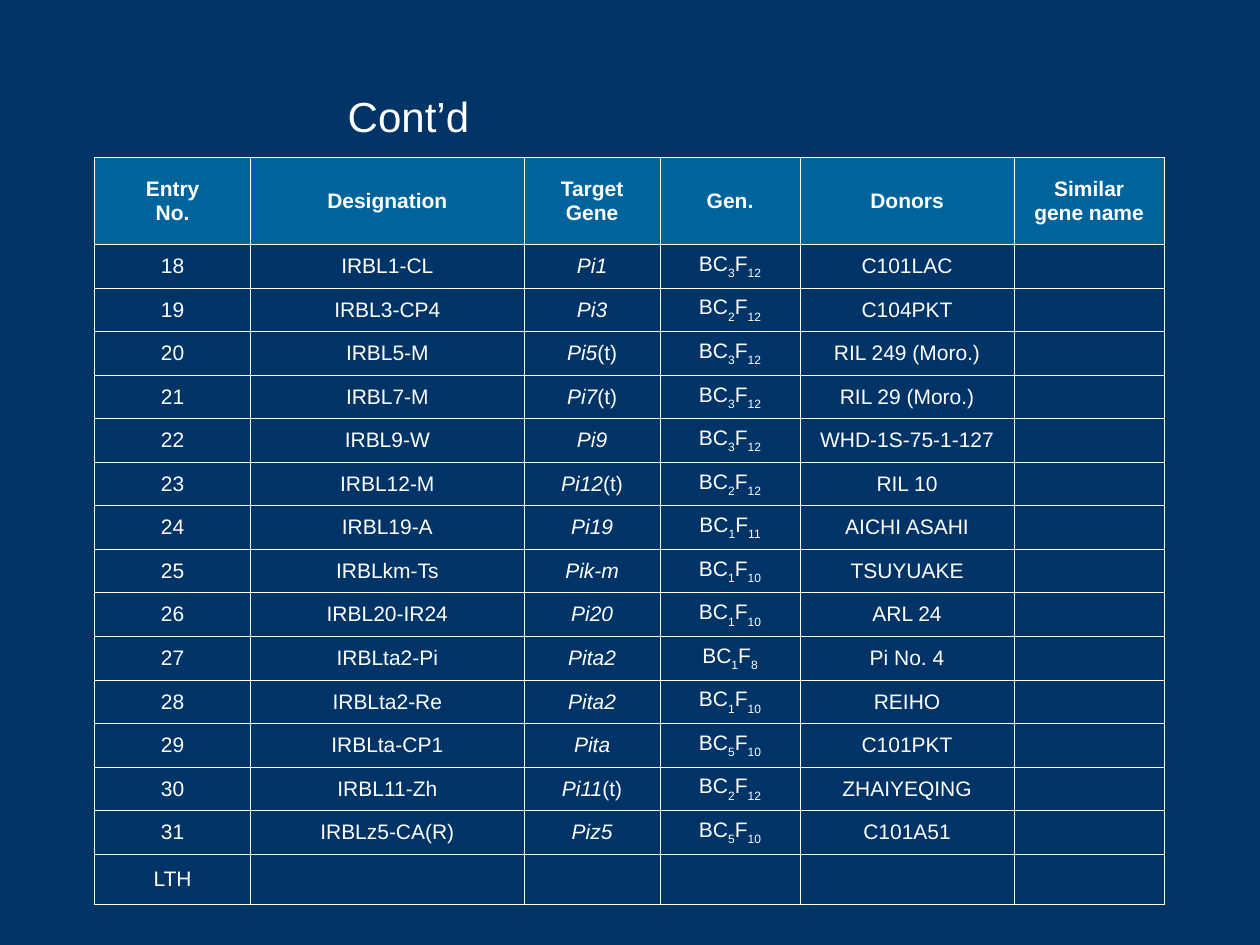
"""Build a slide with a table of rice blast monogenic lines."""
from itertools import groupby

from lxml import etree
from pptx import Presentation
from pptx import util as u
from pptx.dml.color import RGBColor
from pptx.enum import text
from pptx.oxml import ns

NAVY = RGBColor(0x00, 0x33, 0x66)
BLUE = RGBColor(0x00, 0x64, 0x9C)
WHITE = RGBColor(0xFF, 0xFF, 0xFF)
FONT = "Arial"
COLUMNS = [1.24, 2.17, 1.08, 1.11, 1.7, 1.19]
HEADER_HEIGHT, TABLE_HEIGHT = 0.69, 5.88
HEADERS = ["Entry\nNo.", "Designation", "Target\nGene", "Gen.", "Donors", "Similar gene name"]
GENE, GENERATION = 2, 3
LINES = [
    ("18", "IRBL1-CL", "Pi1", "BC3F12", "C101LAC"),
    ("19", "IRBL3-CP4", "Pi3", "BC2F12", "C104PKT"),
    ("20", "IRBL5-M", "Pi5(t)", "BC3F12", "RIL 249 (Moro.)"),
    ("21", "IRBL7-M", "Pi7(t)", "BC3F12", "RIL 29 (Moro.)"),
    ("22", "IRBL9-W", "Pi9", "BC3F12", "WHD-1S-75-1-127"),
    ("23", "IRBL12-M", "Pi12(t)", "BC2F12", "RIL 10"),
    ("24", "IRBL19-A", "Pi19", "BC1F11", "AICHI ASAHI"),
    ("25", "IRBLkm-Ts", "Pik-m", "BC1F10", "TSUYUAKE"),
    ("26", "IRBL20-IR24", "Pi20", "BC1F10", "ARL 24"),
    ("27", "IRBLta2-Pi", "Pita2", "BC1F8", "Pi No. 4"),
    ("28", "IRBLta2-Re", "Pita2", "BC1F10", "REIHO"),
    ("29", "IRBLta-CP1", "Pita", "BC5F10", "C101PKT"),
    ("30", "IRBL11-Zh", "Pi11(t)", "BC2F12", "ZHAIYEQING"),
    ("31", "IRBLz5-CA(R)", "Piz5", "BC5F10", "C101A51"),
    ("LTH",),
]


def style_font(font, size, bold=False):
    """Apply the slide's typeface and colour to a font."""
    font.name, font.size, font.bold = FONT, u.Pt(size), bold
    font.color.rgb = WHITE


def add_title(s, title):
    """Place the title to the upper left of the table."""
    sp = s.shapes.title
    sp.left, sp.top, sp.width, sp.height = map(u.Inches, (2.66, 0.67, 1.49, 0.5))
    tf = sp.text_frame
    tf.text = title
    tf.word_wrap = False
    tf.auto_size = text.MSO_AUTO_SIZE.SHAPE_TO_FIT_TEXT
    tf.vertical_anchor = text.MSO_ANCHOR.TOP
    p = tf.paragraphs[0]
    p.alignment = text.PP_ALIGN.LEFT
    style_font(p.runs[0].font, 24)


def add_borders(cell):
    """Draw a thin white line on every side of a cell."""
    tc_pr = cell._tc.get_or_add_tcPr()
    for side in ("lnL", "lnR", "lnT", "lnB"):
        ln = etree.SubElement(tc_pr, ns.qn(f"a:{side}"), w=str(u.Pt(0.45)))
        fill = etree.SubElement(ln, ns.qn("a:solidFill"))
        etree.SubElement(fill, ns.qn("a:srgbClr"), val=str(WHITE))


def split_runs(value, column):
    """Split a body value into (text, italic, subscript) pieces."""
    if column == GENE:
        gene, mark, rest = value.partition("(")
        return [(gene, True, False)] + ([(mark + rest, False, False)] if mark else [])
    if column == GENERATION:
        return [("".join(part), False, digit) for digit, part in groupby(value, str.isdigit)]
    return [(value, False, False)] if value else []


def format_cell(cell, fill=None):
    """Give a cell its borders, anchor and fill."""
    add_borders(cell)
    cell.vertical_anchor = text.MSO_ANCHOR.MIDDLE
    if fill is None:
        cell.fill.background()
    else:
        cell.fill.solid()
        cell.fill.fore_color.rgb = fill


def fill_header(cell, label):
    """Write a bold column heading."""
    format_cell(cell, BLUE)
    cell.text_frame.text = label
    for p in cell.text_frame.paragraphs:
        p.alignment = text.PP_ALIGN.CENTER
        style_font(p.runs[0].font, 12, True)


def fill_body(cell, value, column):
    """Write a body value with its italics and subscripts."""
    format_cell(cell)
    p = cell.text_frame.paragraphs[0]
    p.alignment = text.PP_ALIGN.CENTER
    for piece, italic, subscript in split_runs(value, column):
        r = p.add_run()
        r.text = piece
        style_font(r.font, 12)
        r.font.italic = italic
        if subscript:
            r._r.get_or_add_rPr().set("baseline", "-30000")
    if not value:
        etree.SubElement(p._p, ns.qn("a:endParaRPr"), sz="1200")


def add_lines_table(s):
    """Add the table of lines, genes and donors."""
    frame = s.shapes.add_table(len(LINES) + 1, len(COLUMNS), u.Inches(0.75), u.Inches(1.25),
                               u.Inches(sum(COLUMNS)), u.Inches(TABLE_HEIGHT))
    table = frame.table
    table.first_row = table.horz_banding = False
    for column, width in enumerate(COLUMNS):
        table.columns[column].width = u.Inches(width)
        fill_header(table.cell(0, column), HEADERS[column])
    table.rows[0].height = u.Inches(HEADER_HEIGHT)
    row_height = u.Inches((TABLE_HEIGHT - HEADER_HEIGHT) / len(LINES))
    for row, line in enumerate(LINES, 1):
        table.rows[row].height = row_height
        for column in range(len(COLUMNS)):
            value = line[column] if column < len(line) else ""
            fill_body(table.cell(row, column), value, column)


def main():
    """Build and save the slide."""
    prs = Presentation()
    prs.slide_width, prs.slide_height = u.Inches(10), u.Inches(7.5)
    s = prs.slides.add_slide(prs.slide_layouts[5])
    s.background.fill.solid()
    s.background.fill.fore_color.rgb = NAVY
    add_lines_table(s)
    add_title(s, "Cont’d…")
    prs.save("out.pptx")


if __name__ == "__main__":
    main()
